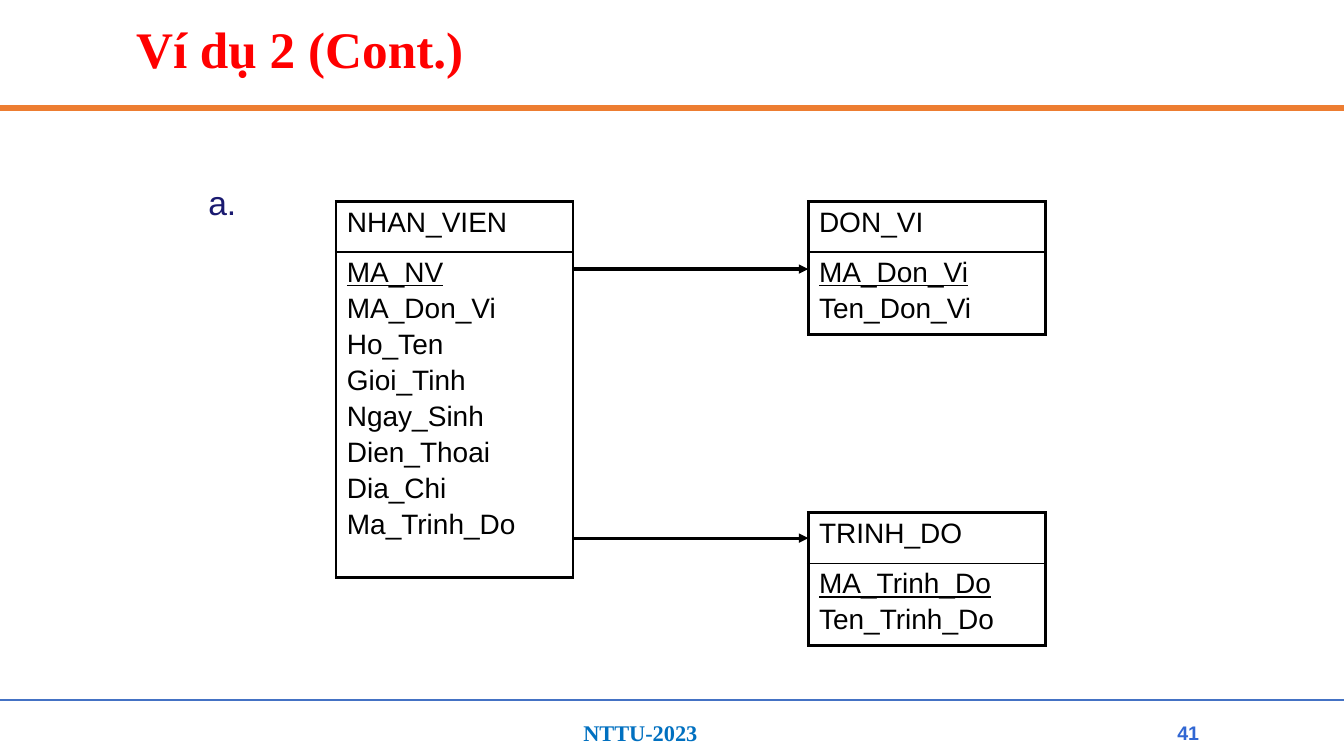
from lxml.etree import SubElement
from pptx import Presentation
from pptx.dml.color import RGBColor
from pptx.enum.shapes import MSO_CONNECTOR
from pptx.enum.text import MSO_ANCHOR, PP_ALIGN
from pptx.oxml.ns import qn
from pptx.util import Cm, Pt

COLORS = {
    "title": "FF0000", "rule": "ED7D31", "footer_rule": "4472C4",
    "footer": "0070C0", "number": "3167D3", "label": "1A1A70", "ink": "000000",
}
SLIDE_WIDTH, SLIDE_HEIGHT = 33.87, 19.05
ENTITY_WIDTH, HEADER_HEIGHT = 5.97, 1.27
LEFT_COLUMN, RIGHT_COLUMN = 8.47, 20.37
THICK, THIN = 2.25, 1


def style_font(font, size, color, name="Arial", bold=False):
    """Set the face, size and colour of a font."""
    font.name, font.size, font.bold = name, Pt(size), bold
    font.color.rgb = RGBColor.from_string(COLORS[color])


def add_text(page, text, place, size, color, name="Arial", bold=False,
             anchor=MSO_ANCHOR.TOP, align=PP_ALIGN.LEFT, wrap=True):
    """Add a one-paragraph text box and return its paragraph."""
    box = page.shapes.add_textbox(*map(Cm, place))
    frame = box.text_frame
    frame.text = text
    frame.word_wrap, frame.vertical_anchor = wrap, anchor
    para = frame.paragraphs[0]
    para.alignment = align
    for span in para.runs:
        style_font(span.font, size, color, name, bold)
    return para


def add_line(page, left, right, height, color, width, arrow=False):
    """Add a horizontal line, with an arrowhead at its right end if asked."""
    line = page.shapes.add_connector(
        MSO_CONNECTOR.STRAIGHT, Cm(left), Cm(height), Cm(right), Cm(height))
    line.line.color.rgb = RGBColor.from_string(COLORS[color])
    line.line.width = Pt(width)
    if arrow:
        SubElement(line.line._get_or_add_ln(), qn("a:tailEnd"), type="triangle")
    SubElement(line._element.spPr, qn("a:effectLst"))


def set_borders(cell, top, bottom):
    """Draw thick side borders and the given top and bottom borders."""
    properties = cell._tc.get_or_add_tcPr()
    for side, width in (("L", THICK), ("R", THICK), ("T", top), ("B", bottom)):
        border = SubElement(properties, qn(f"a:ln{side}"), w=str(Pt(width)))
        fill = SubElement(border, qn("a:solidFill"))
        SubElement(fill, qn("a:srgbClr"), val=COLORS["ink"])


def fill_cell(cell, lines, top, bottom, key=None):
    """Write the lines into a cell and underline the key."""
    set_borders(cell, top, bottom)
    cell.fill.background()
    cell.margin_left = cell.margin_right = Cm(0.27)
    cell.margin_top = cell.margin_bottom = Cm(0.13)
    cell.text_frame.text = "\n".join(lines)
    for index, para in enumerate(cell.text_frame.paragraphs):
        para.space_before = Pt(3.4 if index else 0)
        for span in para.runs:
            style_font(span.font, 20, "ink")
            span.font.underline = span.text == key


def add_entity(page, left, top, body_height, name, attributes):
    """Add an entity table with its name above its attributes, key first."""
    table = page.shapes.add_table(
        2, 1, Cm(left), Cm(top), Cm(ENTITY_WIDTH),
        Cm(HEADER_HEIGHT + body_height)).table
    table.first_row = table.horz_banding = False
    table.rows[0].height = Cm(HEADER_HEIGHT)
    table.rows[1].height = Cm(body_height)
    fill_cell(table.cell(0, 0), [name], THICK, THIN)
    fill_cell(table.cell(1, 0), attributes, THIN, THICK, key=attributes[0])


def main():
    """Build the slide and save it."""
    deck = Presentation()
    deck.slide_width, deck.slide_height = Cm(SLIDE_WIDTH), Cm(SLIDE_HEIGHT)
    page = deck.slides.add_slide(deck.slide_layouts[6])

    add_line(page, 0, SLIDE_WIDTH, 2.72, "rule", 4.5)
    add_line(page, 0, SLIDE_WIDTH, 17.65, "footer_rule", 1.5)
    add_text(page, "NTTU-2023", (14.45, 18, 4.52, 0.94), 16, "footer",
             "Times New Roman", True, wrap=False)
    title = add_text(page, "Ví dụ 2 (Cont.)", (3.18, 0.58, 27.5, 1.47), 36.6,
                     "title", "Times New Roman", True, MSO_ANCHOR.MIDDLE)
    title.line_spacing = 0.9
    add_text(page, "41", (29.36, 18, 1.17, 0.91), 14, "number", bold=True,
             anchor=MSO_ANCHOR.MIDDLE, align=PP_ALIGN.CENTER, wrap=False)
    add_text(page, "a.", (5, 4.45, 1.6, 1.27), 24, "label")

    add_entity(page, LEFT_COLUMN, 5.08, 8.2, "NHAN_VIEN", [
        "MA_NV", "MA_Don_Vi", "Ho_Ten", "Gioi_Tinh", "Ngay_Sinh",
        "Dien_Thoai", "Dia_Chi", "Ma_Trinh_Do"])
    add_entity(page, RIGHT_COLUMN, 5.08, 1.96, "DON_VI",
               ["MA_Don_Vi", "Ten_Don_Vi"])
    add_entity(page, RIGHT_COLUMN, 12.92, 1.96, "TRINH_DO",
               ["MA_Trinh_Do", "Ten_Trinh_Do"])
    for height in (6.78, 13.56):
        add_line(page, LEFT_COLUMN + ENTITY_WIDTH, RIGHT_COLUMN, height,
                 "ink", THICK, arrow=True)

    deck.save("out.pptx")


if __name__ == "__main__":
    main()
